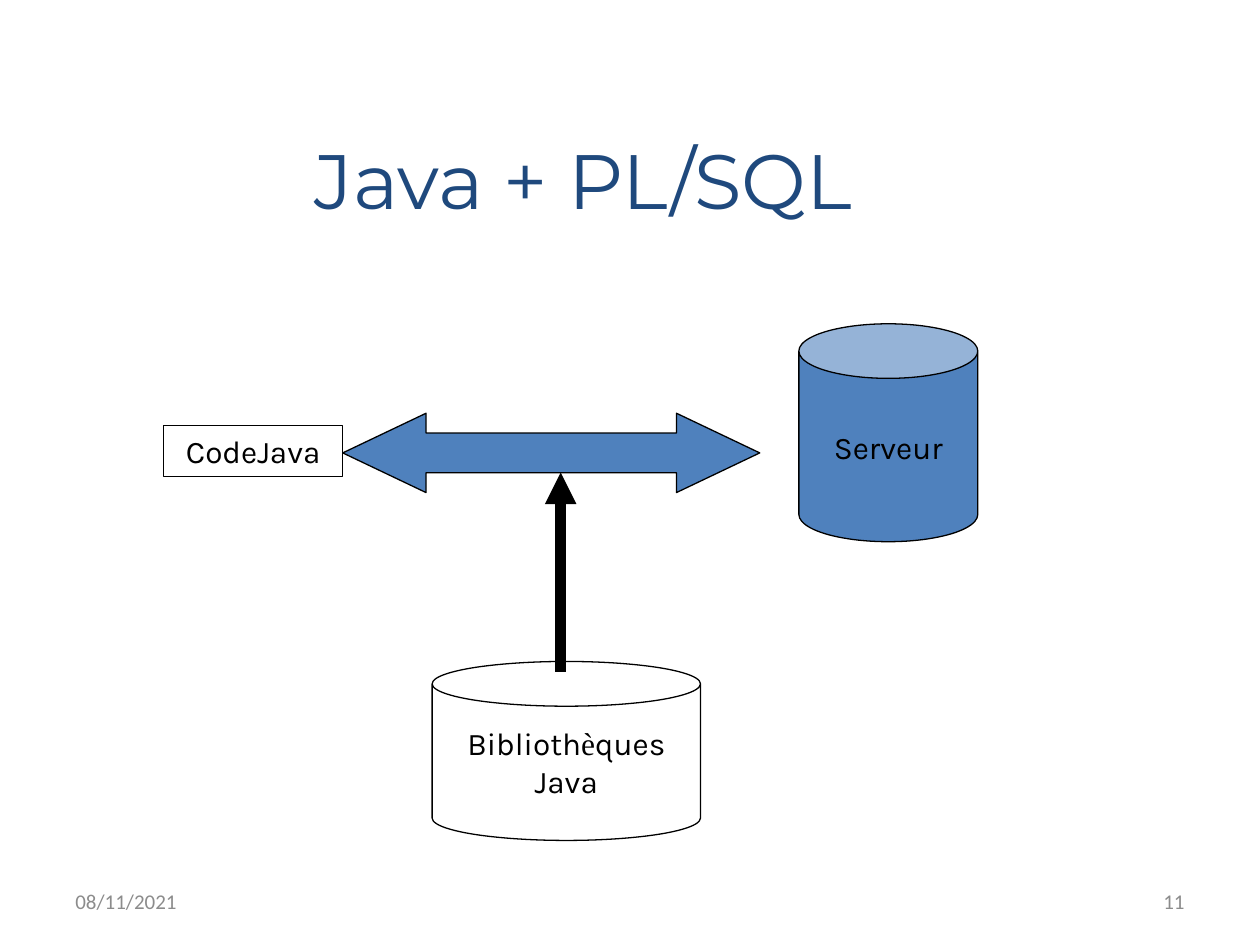
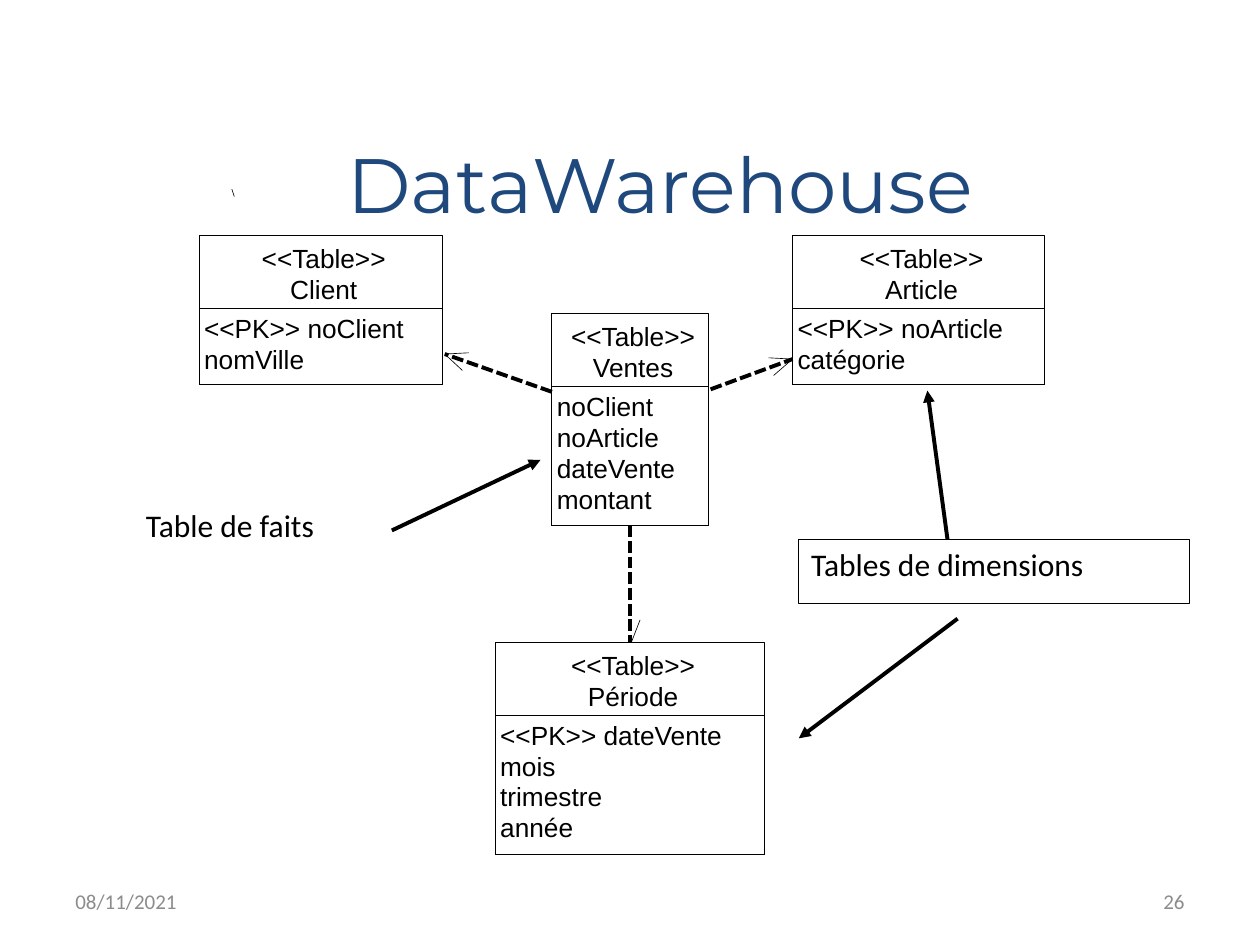
"""Build two slides: a Java and PL/SQL architecture, and a data warehouse star schema."""
from dataclasses import dataclass

from lxml.etree import SubElement
from pptx import Presentation
from pptx.dml.color import RGBColor as Rgb
from pptx.enum.dml import MSO_LINE as Dash
from pptx.enum.shapes import MSO_CONNECTOR as Link, MSO_SHAPE as Preset
from pptx.enum.text import MSO_ANCHOR as Anchor, MSO_AUTO_SIZE as Fit, PP_ALIGN as Align
from pptx.oxml.ns import qn
from pptx.util import Pt

PX = 9144


@dataclass(frozen=True)
class Theme:
    black: Rgb = Rgb(0, 0, 0)
    white: Rgb = Rgb(255, 255, 255)
    blue: Rgb = Rgb(0x4F, 0x81, 0xBD)
    navy: Rgb = Rgb(0x1F, 0x49, 0x7D)
    grey: Rgb = Rgb(0x8C, 0x8C, 0x8C)
    title_font: str = "Montserrat"
    label_font: str = "Karla"
    accent_font: str = "Times New Roman"
    table_font: str = "Arial"
    note_font: str = "Calibri"
    title_size: int = 44
    label_size: int = 18
    table_size: int = 15
    footer_size: int = 12
    table_spacing: float = 17.7
    thin: float = 0.38
    outline: float = 0.75
    arrow: float = 2.25
    heavy: float = 6


theme = Theme()


def add_box(page, place, lines=(), preset=None, fill=None, weight=theme.outline,
            font=theme.label_font, size=theme.label_size, color=theme.black,
            align=Align.CENTER, anchor=Anchor.MIDDLE, insets=(10, 5), spacing=None):
    left, top, width, height = [length * PX for length in place]
    if preset is None:
        box = page.shapes.add_textbox(left, top, width, height)
    else:
        box = page.shapes.add_shape(preset, left, top, width, height)
        box.shadow.inherit = False
        box.line.color.rgb = theme.black
        box.line.width = Pt(weight)
        if fill is None:
            box.fill.background()
        else:
            box.fill.solid()
            box.fill.fore_color.rgb = fill
    frame = box.text_frame
    frame.word_wrap = True
    frame.vertical_anchor = anchor
    frame.margin_left, frame.margin_top = [inset * PX for inset in insets]
    frame.margin_right = 0 if spacing else frame.margin_left
    frame.margin_bottom = 0 if spacing else frame.margin_top
    frame.text = "\n".join(lines)
    for para in frame.paragraphs:
        para.alignment = align
        para.line_spacing = Pt(spacing) if spacing else None
        for span in para.runs:
            span.font.name = font
            span.font.size = Pt(size)
            span.font.color.rgb = color
    return box


def add_line(page, start, end, weight, dash=None, arrow=False):
    line = page.shapes.add_connector(Link.STRAIGHT, *[length * PX for length in start + end])
    line.line.color.rgb = theme.black
    line.line.width = Pt(weight)
    if dash:
        line.line.dash_style = dash
    properties = line.element.spPr
    if arrow:
        SubElement(properties.find(qn("a:ln")), qn("a:tailEnd"), type="triangle")
    SubElement(properties, qn("a:effectLst"))
    return line


deck = Presentation()
deck.slide_width = 1000 * PX
deck.slide_height = 750 * PX

pages = []
for heading, number, place in (
    ("Java + PL/SQL", "11", (142, 100, 642, 83)),
    ("DataWarehouse", "26", (146, 103, 756, 83)),
):
    page = deck.slides.add_slide(deck.slide_layouts[5])
    pages.append(page)
    title = page.shapes.title
    title.left, title.top, title.width, title.height = [length * PX for length in place]
    frame = title.text_frame
    frame.text = heading
    frame.auto_size = Fit.NONE
    frame.vertical_anchor = Anchor.TOP
    para = frame.paragraphs[0]
    para.alignment = Align.CENTER
    span = para.runs[0]
    span.font.name = theme.title_font
    span.font.size = Pt(theme.title_size)
    span.font.color.rgb = theme.navy
    for text, left, align in (("08/11/2021", 50, Align.LEFT), (number, 717, Align.RIGHT)):
        add_box(page, (left, 695, 233, 40), [text], font=theme.note_font,
                size=theme.footer_size, color=theme.grey, align=align)

architecture, schema = pages

add_box(architecture, (130, 338, 142, 40), ["CodeJava"], Preset.RECTANGLE)
database = add_box(architecture, (634, 257, 142, 173), ["Serveur"], Preset.CAN, theme.blue)
database.adjustments[0] = 0.305
exchange = add_box(architecture, (272, 328, 331, 63), preset=Preset.LEFT_RIGHT_ARROW,
                   fill=theme.blue)
exchange.adjustments[0] = 0.5
exchange.adjustments[1] = 1.05
libraries = add_box(architecture, (343, 525, 213, 142), ["Biblioth", "Java"],
                    Preset.CAN, theme.white)
libraries.adjustments[0] = 0.25
for text, font in (("è", theme.accent_font), ("ques", theme.label_font)):
    span = libraries.text_frame.paragraphs[0].add_run()
    span.text = text
    span.font.name = font
    span.font.size = Pt(theme.label_size)
    span.font.color.rgb = theme.black
add_line(architecture, (445, 533), (445, 375), theme.heavy, arrow=True)

tables = {}
for name, left, top, width, columns in (
    ("Ventes", 438, 249, 124, ["noClient", "noArticle", "dateVente", "montant"]),
    ("Client", 158, 187, 193, ["<<PK>> noClient", "nomVille"]),
    ("Article", 629, 187, 200, ["<<PK>> noArticle", "catégorie"]),
    ("Période", 393, 510, 214, ["<<PK>> dateVente", "mois", "trimestre", "année"]),
):
    body_height = 10 + 25 * len(columns)
    style = dict(preset=Preset.RECTANGLE, weight=theme.thin, font=theme.table_font,
                 size=theme.table_size, anchor=Anchor.TOP, spacing=theme.table_spacing)
    tables[name] = add_box(schema, (left, top, width, 58 + body_height),
                           ["<<Table>>", name], insets=(5, 6), **style)
    add_box(schema, (left, top + 58, width, body_height), columns,
            align=Align.LEFT, insets=(4, 3), **style)

for start, end in (((438, 311), (353, 281)), ((564, 309), (629, 285))):
    add_line(schema, start, end, theme.arrow, Dash.SQUARE_DOT)
period_link = add_line(schema, (500, 417), (500, 510), theme.arrow, Dash.SQUARE_DOT)
period_link.begin_connect(tables["Ventes"], 2)
period_link.end_connect(tables["Période"], 0)

for start, end in (
    ((353, 281), (372, 280)),
    ((353, 281), (367, 294)),
    ((629, 285), (614, 298)),
    ((629, 285), (610, 284)),
    ((501, 510), (508, 492)),
    ((186, 156), (184, 150)),
):
    add_line(schema, start, end, theme.thin)

for text, place, preset in (
    ("Table de faits", (106, 397, 201, 50), None),
    ("Tables de dimensions", (634, 428, 310, 51), Preset.RECTANGLE),
):
    add_box(schema, place, [text], preset, font=theme.note_font,
            align=Align.LEFT, anchor=Anchor.TOP)

for start, end in (
    ((311, 421), (429, 365)),
    ((752, 428), (736, 310)),
    ((760, 491), (634, 586)),
):
    add_line(schema, start, end, theme.arrow, arrow=True)

deck.save("out.pptx")
